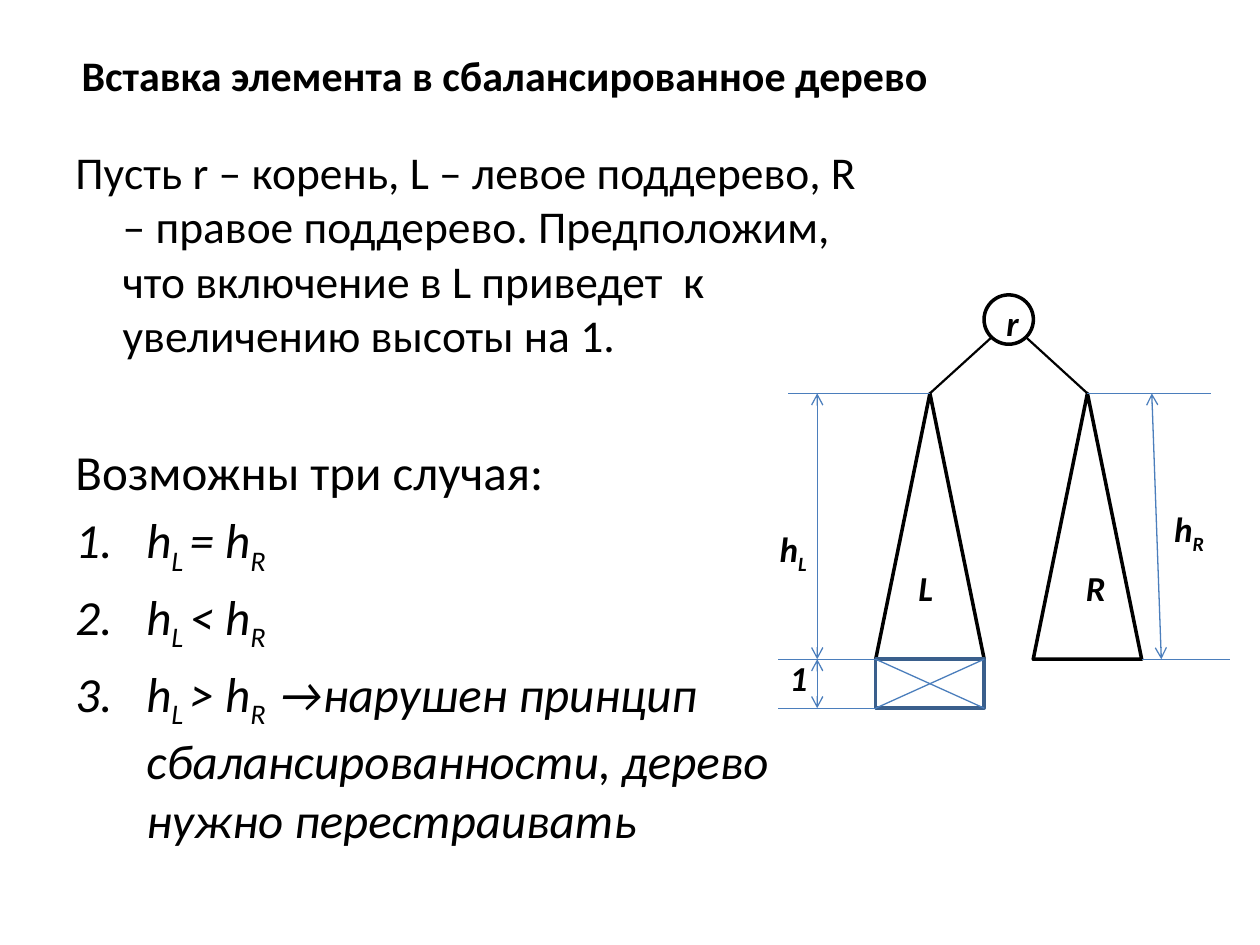
from lxml import etree
from pptx import Presentation
from pptx.dml.color import RGBColor
from pptx.enum.shapes import MSO_CONNECTOR, MSO_SHAPE
from pptx.enum.text import MSO_ANCHOR
from pptx.oxml.ns import qn
from pptx.util import Pt

LINE = MSO_CONNECTOR.STRAIGHT
OVAL, TRI, RECT = MSO_SHAPE.OVAL, MSO_SHAPE.ISOSCELES_TRIANGLE, MSO_SHAPE.RECTANGLE
BLACK = RGBColor(0x00, 0x00, 0x00)
BLUE = RGBColor(0x4B, 0x7E, 0xBC)
NAVY = RGBColor(0x3A, 0x5F, 0x8C)

deck = Presentation()
deck.slide_width, deck.slide_height = Pt(720), Pt(540)
slide = deck.slides.add_slide(deck.slide_layouts[6])
shapes = slide.shapes


def add_box(x, y, w, h, wrap=True):
    frame = shapes.add_textbox(Pt(x), Pt(y), Pt(w), Pt(h)).text_frame
    frame.word_wrap = wrap
    return frame


def fill_para(para, parts, size, bold=False, italic=False):
    """Write the parts in turn; every second one is a subscript."""
    font = para.font
    font.name, font.size, font.color.rgb = "Calibri", Pt(size), BLACK
    font.bold, font.italic = bold, italic
    for i, part in enumerate(parts):
        run = para.add_run()
        run.text = part
        if i % 2:
            run._r.get_or_add_rPr().set("baseline", "-25000")


# Title
title = add_box(39.6, 16.6, 648, 51.8)
title.vertical_anchor = MSO_ANCHOR.MIDDLE
fill_para(title.paragraphs[0], ["Вставка элемента в сбалансированное дерево"], 24, bold=True)

# Body: parts, size, indent, space before, numbered
ROWS = [
    (["Пусть r – корень, L – левое поддерево, R – правое поддерево. Предположим, "
      "что включение в L приведет  к увеличению высоты на 1."], 26, 27, 5.2, False),
    (["Возможны три случая:"], 28, 27, 45.4, False),
    (["h", "L ", "= h", "R"], 28, 40.5, 5.6, True),
    (["h", "L ", "< h", "R"], 28, 40.5, 5.6, True),
    (["h", "L ", "> h", "R  ", "→нарушен принцип сбалансированности, "
      "дерево нужно перестраивать"], 28, 40.5, 5.6, True),
]
body = add_box(36, 78.5, 464.4, 404)
for i, (parts, size, indent, gap, listed) in enumerate(ROWS):
    para = body.add_paragraph() if i else body.paragraphs[0]
    fill_para(para, parts, size, italic=listed)
    para.space_before = Pt(gap)
    props = para._p.get_or_add_pPr()
    props.set("marL", str(Pt(indent)))
    props.set("indent", str(-Pt(indent)))
    if listed:
        num = etree.Element(qn("a:buAutoNum"), type="arabicPeriod")
        props.find(qn("a:defRPr")).addprevious(num)

# Tree geometry
WIDE, TOP, BASE, END = 62, 224.8, 376.7, 404.7
LEFT, RIGHT = 500.4, 590.4
APEX_L, APEX_R = LEFT + WIDE / 2, RIGHT + WIDE / 2

# Root, subtrees and added level
for kind, x, y, w, h, color in [
    (OVAL, 562.3, 168.5, 28.2, 28.2, BLACK),
    (TRI, LEFT, TOP, WIDE, BASE - TOP, BLACK),
    (TRI, RIGHT, TOP, WIDE, BASE - TOP, BLACK),
    (RECT, LEFT, BASE, WIDE, END - BASE, NAVY),
]:
    node = shapes.add_shape(kind, Pt(x), Pt(y), Pt(w), Pt(h))
    node.shadow.inherit = False
    node.fill.background()
    node.line.color.rgb, node.line.width = color, Pt(2)

# Branches, cross, guides and height arrows
for x1, y1, x2, y2, color, width, arrow in [
    (566.4, 193, APEX_L, TOP, BLACK, 1.25, False),
    (APEX_R, TOP, 586.6, 193, BLACK, 1.25, False),
    (LEFT, BASE, LEFT + WIDE, END, BLUE, 0.75, False),
    (LEFT + WIDE, BASE, LEFT, END, BLUE, 0.75, False),
    (APEX_L, TOP, 450, TOP, BLUE, 0.75, False),
    (LEFT, BASE, 444.5, BASE, BLUE, 0.75, False),
    (LEFT, END, 444.5, END, BLUE, 0.75, False),
    (APEX_R, TOP, 692, TOP, BLUE, 0.75, False),
    (RIGHT + WIDE, BASE, 703, BASE, BLUE, 0.75, False),
    (467, TOP, 467, BASE, BLUE, 0.75, True),
    (467, BASE, 467, END, BLUE, 0.75, True),
    (658.2, TOP, 663.6, BASE, BLUE, 0.75, True),
]:
    edge = shapes.add_connector(LINE, Pt(x1), Pt(y1), Pt(x2), Pt(y2))
    edge.line.color.rgb, edge.line.width = color, Pt(width)
    etree.SubElement(edge._element.spPr, qn("a:effectLst"))
    if arrow:
        for end in ("a:headEnd", "a:tailEnd"):
            etree.SubElement(edge.line._get_or_add_ln(), qn(end), type="arrow")

# Labels
for parts, x, y, w in [
    (["r"], 568, 168.5, 21.6),
    (["L"], 517.7, 320.4, 23),
    (["R"], 613.4, 320.4, 26),
    (["h", "L"], 438.5, 298, 31),
    (["1"], 444.2, 371.5, 24.5),
    (["h", "R"], 663.8, 286.6, 32.4),
]:
    label = add_box(x, y, w, 31.5, wrap=False)
    fill_para(label.paragraphs[0], parts, 20, bold=True, italic=True)

deck.save("out.pptx")
